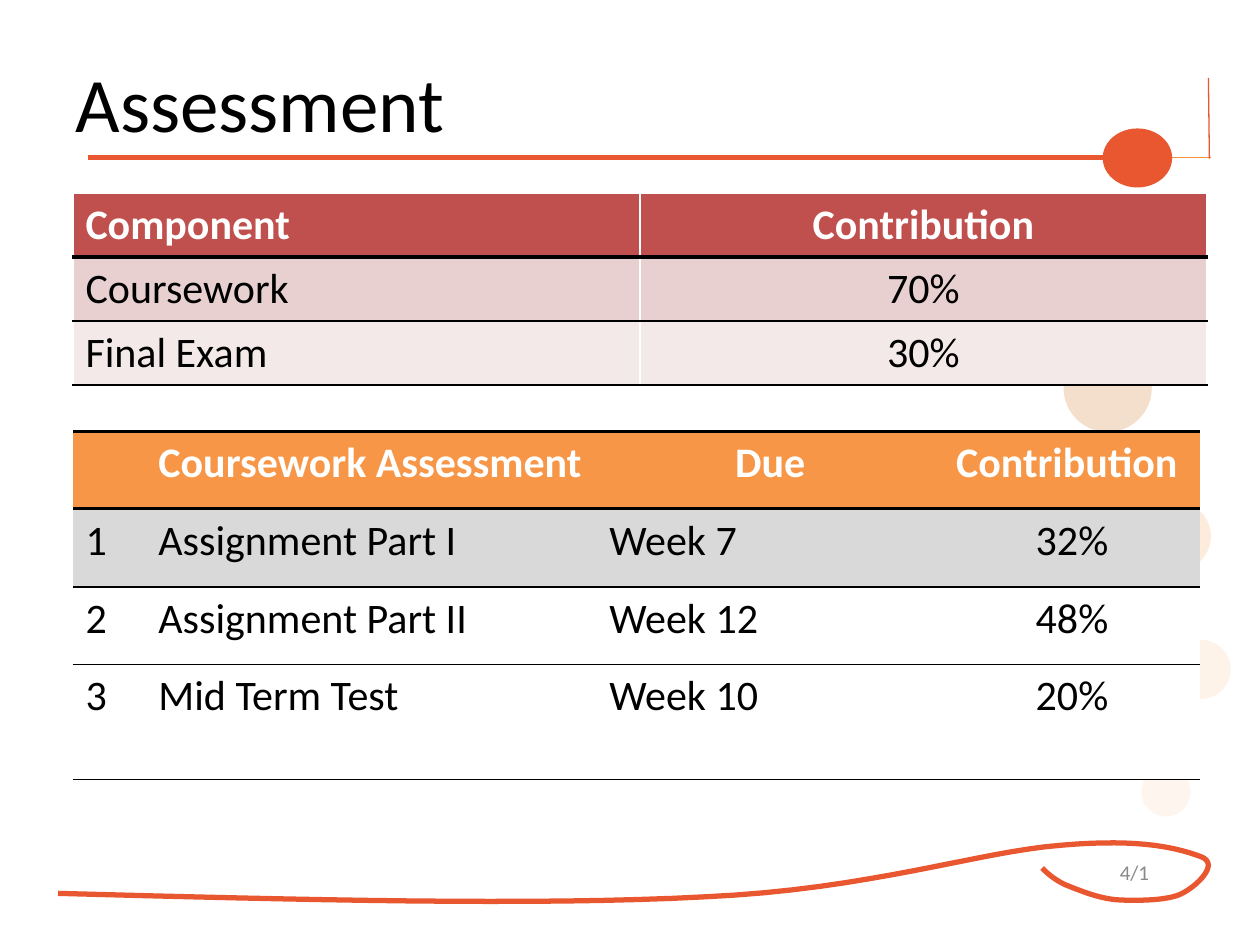
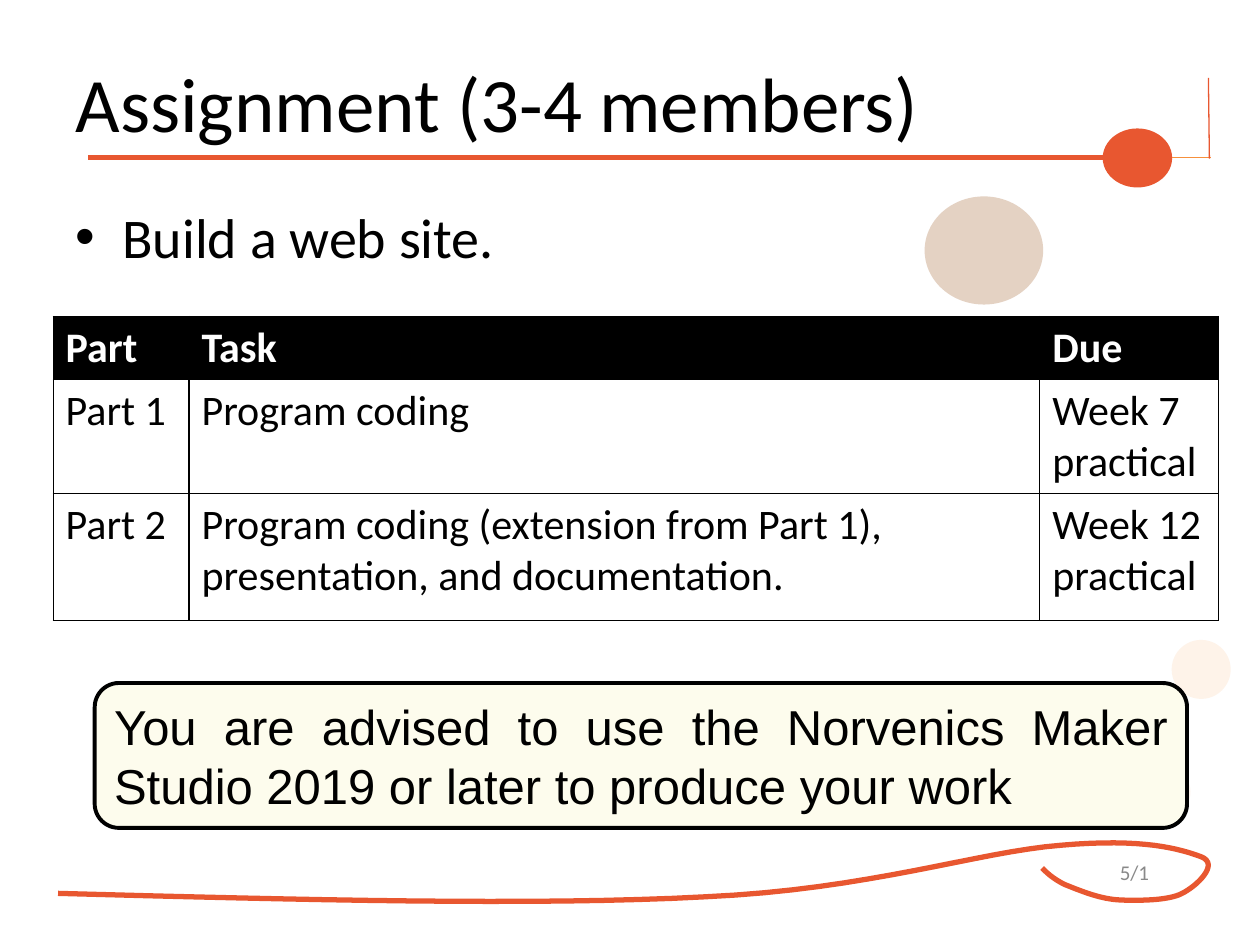
from dataclasses import dataclass

from lxml.etree import SubElement
from pptx import Presentation
from pptx.dml.color import RGBColor
from pptx.enum.shapes import MSO_CONNECTOR, MSO_SHAPE
from pptx.enum.text import MSO_ANCHOR, PP_ALIGN
from pptx.oxml import parse_xml
from pptx.oxml.ns import nsdecls, qn
from pptx.util import Cm, Pt

COLOURS = {
    "black": "000000", "white": "FFFFFF", "accent": "E85730", "thin": "F6903C",
    "number": "898989", "red": "C0504D", "pink": "E8D0D0", "pale": "F4E9E9",
    "orange": "F79646", "grey": "D9D9D9", "cream": "FDFCED",
    "brown": "904406", "rust": "C85F08", "amber": "F57B17", "apricot": "F67B16",
    "peach": "F59545",
}
ALIGNMENTS = {"L": PP_ALIGN.LEFT, "C": PP_ALIGN.CENTER, "J": PP_ALIGN.JUSTIFY}
TITLE_ONLY = 5

# Background dots: left, top, width, height, colour, opacity in percent
DOTS = [
    (18.64, 3.96, 2.39, 2.18, "brown", 24),
    (21.44, 6.93, 1.78, 1.78, "rust", 20),
    (23.01, 10.11, 1.4, 1.4, "amber", 15),
    (23.62, 12.9, 1.19, 1.19, "apricot", 9),
    (23.01, 15.47, 0.99, 0.99, "peach", 9),
    (22.23, 2.59, 1.4, 1.19, "accent", 100),
]
# Header lines: start x, start y, end x, end y, colour, points
HEADER_LINES = [
    (1.78, 3.18, 22.23, 3.18, "accent", 3),
    (23.62, 3.18, 24.41, 3.18, "thin", 0.75),
    (24.38, 3.2, 24.36, 1.57, "accent", 0.75),
]
# Footer swirl: start point, then two handles and an end for each curve
SWIRL_START = (1.17, 18.01)
SWIRL_CURVES = [
    ((5.99, 18.14), (10.82, 18.26), (14.2, 18.08)),
    ((17.55, 17.93), (19.71, 17.17), (21.39, 17.04)),
    ((23.06, 16.89), (23.8, 17.12), (24.21, 17.27)),
    ((24.61, 17.42), (24.1, 17.88), (23.83, 18.01)),
    ((23.55, 18.16), (22.91, 18.16), (22.53, 18.14)),
    ((22.12, 18.11), (21.72, 17.93), (21.46, 17.83)),
    ((21.21, 17.7), (21.11, 17.6), (21.01, 17.5)),
]


@dataclass
class Box:
    """A region of the page in centimetres."""
    left: float
    top: float
    width: float
    height: float

    def point(self, x, y):
        return Cm(self.left + x), Cm(self.top + y)

    def inner(self, left, top, width, height):
        return Box(self.left + left, self.top + top, width, height)

    def lengths(self):
        return Cm(self.left), Cm(self.top), Cm(self.width), Cm(self.height)


@dataclass
class TableStyle:
    header_fill: str
    body_fills: list
    header_align: str
    body_align: str
    header_edges: dict  # side: (colour, points)
    body_edges: dict


CONTRIBUTION_STYLE = TableStyle(
    "red", ["pink", "pale"], "LC", "LC",
    {"L": ("white", 1), "R": ("white", 1), "T": ("white", 1), "B": ("black", 2.25)},
    {"L": ("white", 1), "R": ("white", 1), "B": ("black", 0.75)})
COURSEWORK_STYLE = TableStyle(
    "orange", ["grey", "white", "white"], "LLCL", "LLLC",
    {"T": ("black", 2), "B": ("black", 2)}, {"B": ("black", 1)})
GRID = {side: ("black", 0.75) for side in "LRTB"}
TASK_STYLE = TableStyle("black", ["white", "white"], "LLL", "LLL", GRID, GRID)


def rgb(name):
    return RGBColor.from_string(COLOURS[name])


def write(frame, text, size, colour="black", align="L", font="Calibri", bold=False):
    frame.word_wrap = True
    para = frame.paragraphs[0]
    para.text = text
    para.alignment = ALIGNMENTS[align]
    para.font.name, para.font.size, para.font.bold = font, Pt(size), bold
    para.font.color.rgb = rgb(colour)
    return para


def paint_line(line, colour, points):
    line.color.rgb = rgb(colour)
    line.width = Pt(points)


def add_filled(page, kind, box, colour):
    shape = page.shapes.add_shape(kind, *box.lengths())
    shape.shadow.inherit = False
    shape.fill.solid()
    shape.fill.fore_color.rgb = rgb(colour)
    shape.line.fill.background()
    return shape


def add_dot(page, box, colour, opacity):
    dot = add_filled(page, MSO_SHAPE.OVAL, box, colour)
    if opacity < 100:
        tone = dot._element.spPr.find(qn("a:solidFill"))[0]
        SubElement(tone, qn("a:alpha"), val=str(opacity * 1000))


def add_line(page, start, end, colour, points):
    line = page.shapes.add_connector(MSO_CONNECTOR.STRAIGHT, *start, *end)
    paint_line(line.line, colour, points)
    SubElement(line._element.spPr, qn("a:effectLst"))


def curve_points(start, curves, steps=16):
    """Points along a chain of cubic curves."""
    points = []
    for first, second, end in curves:
        for step in range(1, steps + 1):
            t = step / steps
            weights = ((1 - t) ** 3, 3 * t * (1 - t) ** 2, 3 * t * t * (1 - t), t ** 3)
            corners = (start, first, second, end)
            points.append(tuple(sum(w * corner[axis] for w, corner in zip(weights, corners))
                                for axis in (0, 1)))
        start = end
    return points


def draw_swirl(page, box):
    builder = page.shapes.build_freeform(*box.point(*SWIRL_START))
    builder.add_line_segments(
        [box.point(*point) for point in curve_points(SWIRL_START, SWIRL_CURVES)], close=False)
    swirl = builder.convert_to_shape()
    swirl.shadow.inherit = False
    swirl.fill.background()
    paint_line(swirl.line, "accent", 3)


def draw_frame(page, box, title, number):
    """Title, decoration and page number of every slide."""
    draw_swirl(page, box)
    for left, top, width, height, colour, opacity in DOTS:
        add_dot(page, box.inner(left, top, width, height), colour, opacity)
    for x1, y1, x2, y2, colour, points in HEADER_LINES:
        add_line(page, box.point(x1, y1), box.point(x2, y2), colour, points)

    heading = page.shapes.title
    heading.left, heading.top, heading.width, heading.height = box.inner(
        1.27, 0.51, 23.06, 3.1).lengths()
    heading.text_frame.vertical_anchor = MSO_ANCHOR.MIDDLE
    write(heading.text_frame, title, 44)

    label = page.shapes.add_textbox(*box.inner(22.02, 17.07, 1.7, 1.02).lengths())
    label.text_frame.vertical_anchor = MSO_ANCHOR.MIDDLE
    write(label.text_frame, number, 12, "number", "C")


def set_edges(cell, edges):
    properties = cell._tc.get_or_add_tcPr()
    for index, side in enumerate("LRTB"):
        colour, points = edges.get(side, ("white", 0))
        fill = (f'<a:solidFill><a:srgbClr val="{COLOURS[colour]}"/></a:solidFill>'
                if points else "<a:noFill/>")
        properties.insert(index, parse_xml(
            f'<a:ln{side} {nsdecls("a")} w="{int(Pt(points))}">{fill}</a:ln{side}>'))


def draw_table(page, left, top, widths, heights, rows, style):
    box = Box(left, top, sum(widths), sum(heights))
    table = page.shapes.add_table(len(rows), len(widths), *box.lengths()).table
    table.horz_banding = False
    for column, width in zip(table.columns, widths):
        column.width = Cm(width)
    for index, (texts, height) in enumerate(zip(rows, heights)):
        table.rows[index].height = Cm(height)
        if index == 0:
            fill, aligns, ink = style.header_fill, style.header_align, "white"
            edges = style.header_edges
        else:
            fill, aligns, ink = style.body_fills[index - 1], style.body_align, "black"
            # Each row starts on the line that closes the row above
            edges = {**style.body_edges, "T": edges["B"]}
        for cell, text, align in zip(table.rows[index].cells, texts, aligns):
            cell.fill.solid()
            cell.fill.fore_color.rgb = rgb(fill)
            write(cell.text_frame, text, 24, ink, align, bold=index == 0)
            set_edges(cell, edges)


def draw_bullet(page, box, text):
    body = page.shapes.add_textbox(*box.lengths())
    properties = write(body.text_frame, text, 32)._p.get_or_add_pPr()
    properties.set("marL", str(int(Cm(0.95))))
    properties.set("indent", str(-int(Cm(0.95))))
    bullet_font = parse_xml(f'<a:buFont {nsdecls("a")} typeface="Arial"/>')
    bullet = parse_xml(f'<a:buChar {nsdecls("a")} char="•"/>')
    properties.insert(0, bullet_font)
    properties.insert(1, bullet)


def draw_advice(page, box, text):
    advice = add_filled(page, MSO_SHAPE.ROUNDED_RECTANGLE, box, "cream")
    paint_line(advice.line, "black", 2.25)
    advice.text_frame.vertical_anchor = MSO_ANCHOR.TOP
    write(advice.text_frame, text, 28, align="J", font="Arial")


def assessment_slide(page, box):
    draw_frame(page, box, "Assessment", "4/1")
    left = box.left + 1.47
    draw_table(page, left, box.top + 8.69, [1.47, 9.09, 6.99, 5.18], [1.57] * 3 + [2.31], [
        ("", "Coursework Assessment", "Due", "Contribution"),
        ("1", "Assignment Part I", "Week 7", "32%"),
        ("2", "Assignment Part II", "Week 12", "48%"),
        ("3", "Mid Term Test", "Week 10", "20%"),
    ], COURSEWORK_STYLE)
    draw_table(page, left, box.top + 3.89, [11.43] * 2, [1.29] * 3, [
        ("Component", "Contribution"),
        ("Coursework", "70%"),
        ("Final Exam", "30%"),
    ], CONTRIBUTION_STYLE)


def assignment_slide(page, box):
    draw_frame(page, box, "Assignment (3-4 members)", "5/1")
    draw_bullet(page, box.inner(1.27, 3.96, 22.73, 12.5), "Build a web site.")
    draw_advice(page, box.inner(1.91, 13.77, 22.02, 2.92),
                "You are advised to use the Norvenics Maker Studio 2019 or later "
                "to produce your work")
    draw_table(page, box.left + 1.07, box.top + 6.38, [2.74, 17.15, 3.61], [1.27, 2.29, 2.57], [
        ("Part", "Task", "Due"),
        ("Part 1", "Program coding", "Week 7 practical"),
        ("Part 2", "Program coding (extension from Part 1), presentation, and documentation.",
         "Week 12 practical"),
    ], TASK_STYLE)


def main():
    deck = Presentation()
    page_box = Box(0, 0, 25.4, 19.05)
    deck.slide_width, deck.slide_height = Cm(page_box.width), Cm(page_box.height)
    for draw_slide in (assessment_slide, assignment_slide):
        draw_slide(deck.slides.add_slide(deck.slide_layouts[TITLE_ONLY]), page_box)
    deck.save("out.pptx")


if __name__ == "__main__":
    main()
